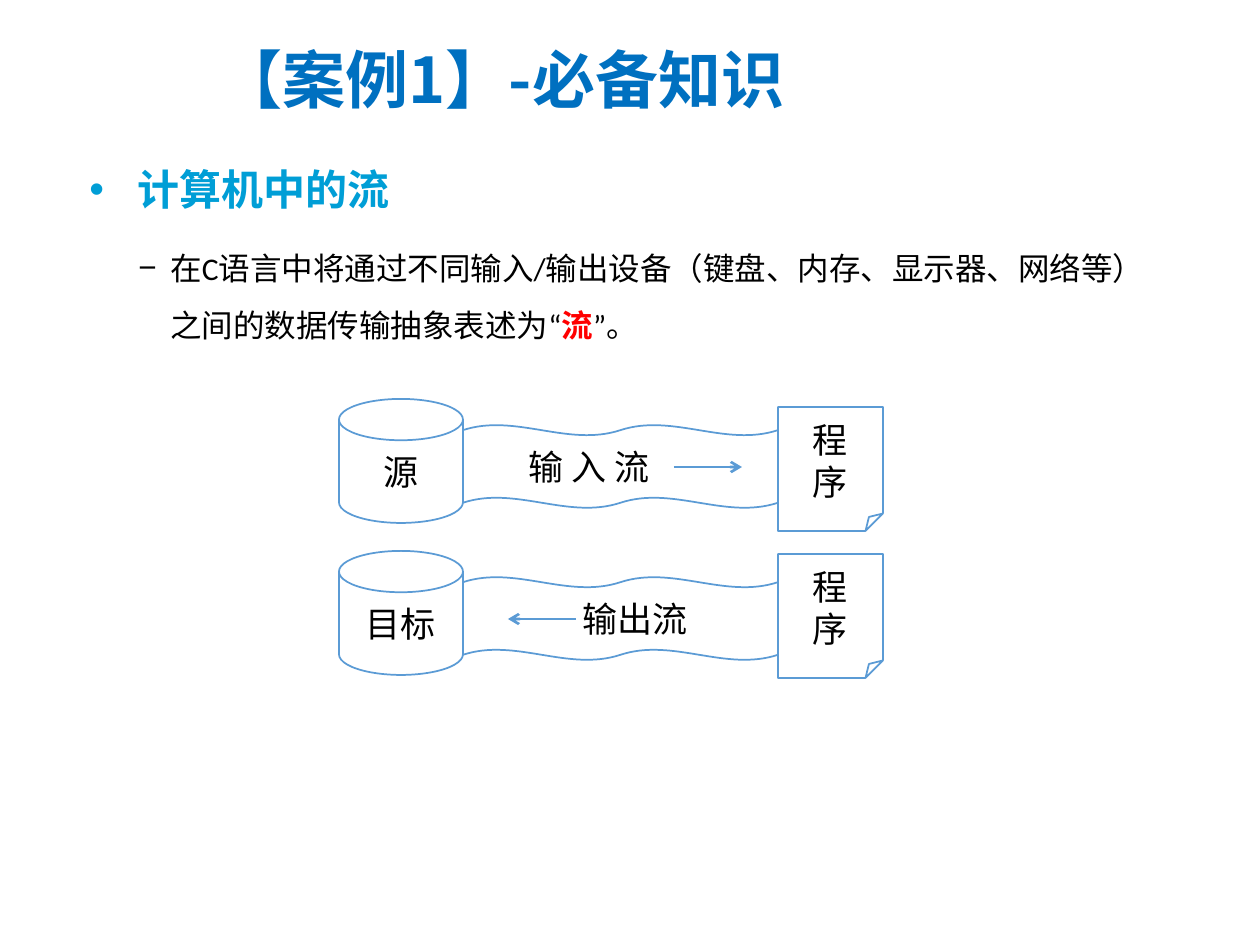
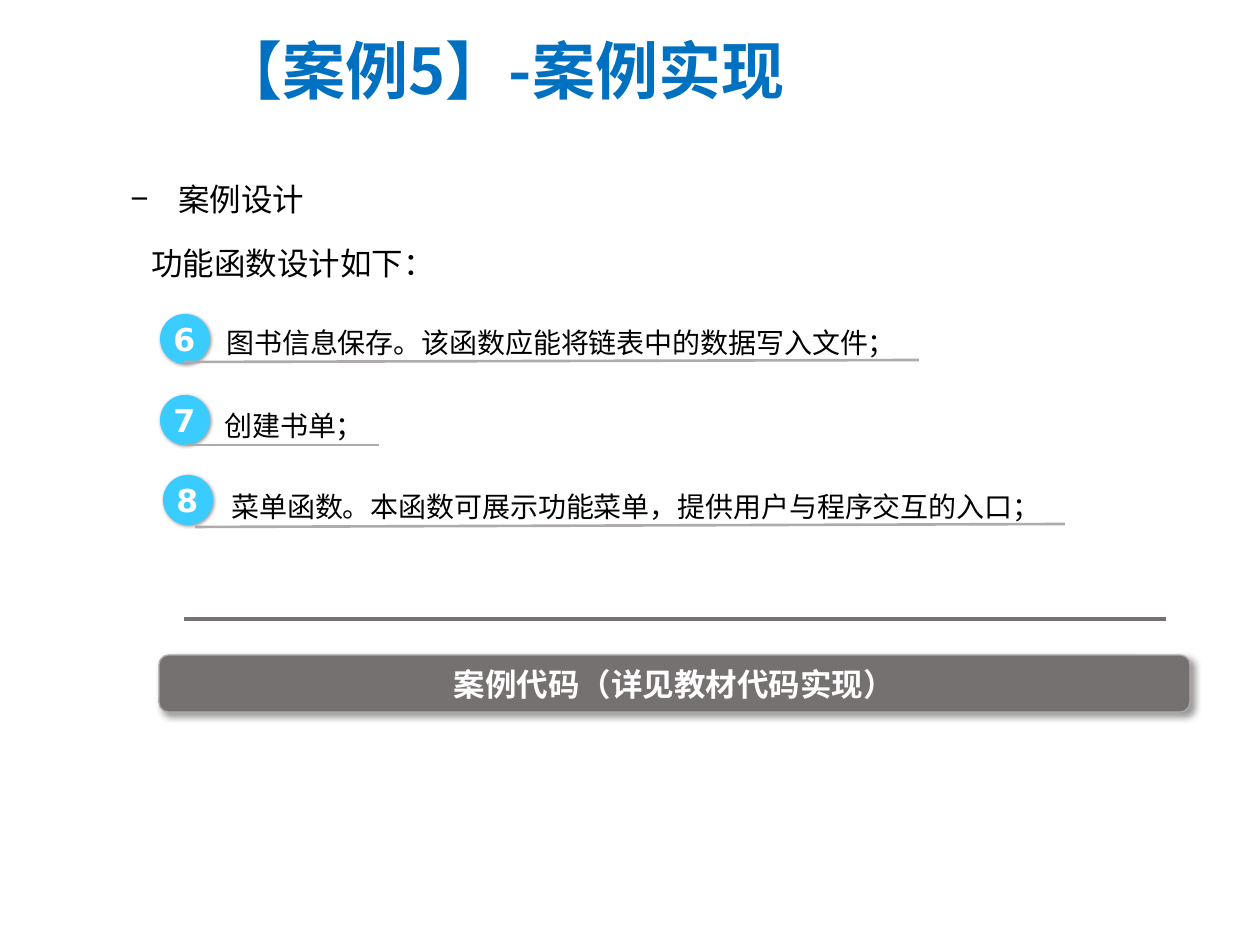
from lxml import etree
from pptx import Presentation
from pptx.dml.color import RGBColor
from pptx.enum.shapes import MSO_CONNECTOR, MSO_SHAPE
from pptx.enum.text import MSO_ANCHOR, MSO_AUTO_SIZE, PP_ALIGN
from pptx.oxml.ns import qn
from pptx.util import Emu, Pt

LEFT, CENTER = PP_ALIGN.LEFT, PP_ALIGN.CENTER
TOP, MIDDLE = MSO_ANCHOR.TOP, MSO_ANCHOR.MIDDLE
NO_FIT = MSO_AUTO_SIZE.NONE
STRAIGHT = MSO_CONNECTOR.STRAIGHT
DISK = MSO_SHAPE.FLOWCHART_MAGNETIC_DISK
WAVE = MSO_SHAPE.DOUBLE_WAVE
SHEET = MSO_SHAPE.FOLDED_CORNER
OVAL, ROUNDED = MSO_SHAPE.OVAL, MSO_SHAPE.ROUNDED_RECTANGLE

TITLE_BLUE, HEADING_BLUE = "0070C0", "009ED6"
FLOW_BLUE, BADGE_BLUE = "5B9BD5", "3BCCFF"
RULE_GRAY, BAR_GRAY = "AFABAB", "767171"
BLACK, WHITE, RED = "000000", "FFFFFF", "FF0000"
BODY_FONT, TITLE_FONT = "Calibri", "Noto Sans CJK SC"


def px(length):
    """Turn pixels at 126 to the inch into EMU."""
    return Emu(round(length * 914400 / 126))


def color(value):
    """Turn a hex string into a colour."""
    return RGBColor.from_string(value)


def add_element(parent, tag, **values):
    """Append one XML element with its attributes."""
    child = etree.SubElement(parent, qn(tag))
    for name, value in values.items():
        child.set(name, str(value))
    return child


def add_span(para, text, size=18, ink=BLACK, bold=False, latin=BODY_FONT, asian=BODY_FONT):
    """Add a formatted run to a paragraph."""
    span = para.add_run()
    span.text = text
    for name, value in {"size": Pt(size), "bold": bold, "name": latin}.items():
        setattr(span.font, name, value)
    span.font.color.rgb = color(ink)
    add_element(span.font._element, "a:ea", typeface=asian)


def set_indent(para, margin, hanging=0, bullet=None):
    """Set the margin, the hanging indent and the bullet of a paragraph."""
    props = para._p.get_or_add_pPr()
    props.set("marL", str(px(margin)))
    props.set("indent", str(-px(hanging)))
    if bullet:
        add_element(props, "a:buFont", typeface="Arial")
        add_element(props, "a:buChar", char=bullet)
    else:
        add_element(props, "a:buNone")


def format_frame(frame, anchor=TOP):
    """Make a text frame wrap and keep its size."""
    values = {"word_wrap": True, "auto_size": NO_FIT, "vertical_anchor": anchor}
    for name, value in values.items():
        setattr(frame, name, value)


def add_text(page, box, **values):
    """Add a text box and return its first paragraph."""
    frame = page.shapes.add_textbox(*map(px, box)).text_frame
    format_frame(frame)
    para = frame.paragraphs[0]
    for name, value in values.items():
        setattr(para, name, value)
    return para


def add_block(page, kind, box, fill=None, line=None, width=1, shadow=None):
    """Add a preset shape; shadow is its blur and distance in points."""
    shape = page.shapes.add_shape(kind, *map(px, box))
    shape.shadow.inherit = False
    if fill:
        shape.fill.solid()
        shape.fill.fore_color.rgb = color(fill)
    else:
        shape.fill.background()
    if line:
        shape.line.color.rgb = color(line)
        shape.line.width = Pt(width)
    else:
        shape.line.fill.background()
    if shadow:
        blur, distance = map(Pt, shadow)
        effects = shape._element.spPr.find(qn("a:effectLst"))
        outer = add_element(effects, "a:outerShdw", blurRad=blur, dist=distance,
                            dir=45 * 60000, algn="tl", rotWithShape=0)
        tint = add_element(outer, "a:srgbClr", val=BLACK)
        add_element(tint, "a:alpha", val=40000)
    format_frame(shape.text_frame, MIDDLE)
    return shape


def fill_block(shape, lines, margin=0, align=CENTER, **style):
    """Write one paragraph for each line into a shape."""
    frame = shape.text_frame
    for index, text in enumerate(lines):
        para = frame.add_paragraph() if index else frame.paragraphs[0]
        para.alignment = align
        set_indent(para, margin)
        add_span(para, text, **style)


def add_line(page, ends, ink, width, arrow=False):
    """Draw a straight line, with an arrowhead at its end if asked."""
    line = page.shapes.add_connector(STRAIGHT, *map(px, ends))
    line.line.color.rgb = color(ink)
    line.line.width = Pt(width)
    if arrow:
        add_element(line.line._get_or_add_ln(), "a:tailEnd", type="arrow")
    add_element(line._element.spPr, "a:effectLst")


def add_page(deck, text, box):
    """Add a title-only slide with its title."""
    page = deck.slides.add_slide(deck.slide_layouts[5])
    title = page.shapes.title
    for name, value in zip(("left", "top", "width", "height"), box):
        setattr(title, name, px(value))
    format_frame(title.text_frame, MIDDLE)
    para = title.text_frame.paragraphs[0]
    para.alignment = LEFT
    set_indent(para, 78, 78)
    add_span(para, text, 36, TITLE_BLUE, True, TITLE_FONT)
    return page


def add_flow(page, box, store, flow, margin, align, arrow, sheet_top):
    """Draw a store, a stream and a program sheet in one row."""
    left, top, width, height = box
    sheet_width = 105
    wave_left = left + height
    wave_width = width - height - sheet_width
    style = {"line": FLOW_BLUE}
    disk = add_block(page, DISK, (left, top, height, height), **style)
    fill_block(disk, [store], size=20)
    wave = add_block(page, WAVE, (wave_left, top + 26, wave_width, 83), **style)
    fill_block(wave, [flow], margin, align, size=20)
    sheet = add_block(page, SHEET, (left + width - sheet_width, top + sheet_top,
                                    sheet_width, height), **style)
    fill_block(sheet, "程序", size=20)
    start, end = arrow
    middle = top + 68
    add_line(page, (left + start, middle, left + end, middle), FLOW_BLUE, 1.5, True)


def build_stream_page(deck):
    """Build the slide that explains streams."""
    page = add_page(deck, "【案例1】-必备知识", (207, 25, 709, 106))
    heading = add_text(page, (77, 132, 329, 90), line_spacing=1.5)
    set_indent(heading, 48, 48, "•")
    add_span(heading, "计算机中的流", 24, HEADING_BLUE, True)
    body = add_text(page, (126, 224, 1041, 127), line_spacing=1.5)
    set_indent(body, 32, 32, "−")
    add_span(body, "在C语言中将通过不同输入/输出设备（键盘、内存、显示器、网络等）之间的数据传输抽象表述为“")
    add_span(body, "流", ink=RED, bold=True)
    add_span(body, "”。")
    add_flow(page, (339, 399, 544, 124), "源", "输 入 流", 53, LEFT, (335, 403), 8)
    add_flow(page, (339, 551, 544, 124), "目标", "输出流", 29, CENTER, (237, 169), 3)


def add_item(page, place, number, text, text_at, rule):
    """Draw a numbered badge, its text and the rule under it."""
    left, top = place
    text_left, text_top, text_width = text_at
    badge = add_block(page, OVAL, (left, top, 50, 50), BADGE_BLUE, shadow=(2, 1))
    badge.rotation = 9.6
    digit = add_text(page, (left + 1, top, 48, 50))
    add_span(digit, number, 18, WHITE, True, "DejaVu Sans")
    add_line(page, rule, RULE_GRAY, 1.5)
    para = add_text(page, (text_left, text_top, text_width, 57),
                    line_spacing=1.3, space_after=Pt(3))
    add_span(para, text, 16)


def build_design_page(deck):
    """Build the slide that lists the functions of the case."""
    page = add_page(deck, "【案例5】-案例实现", (207, 16, 641, 106))
    intro = add_text(page, (118, 155, 1072, 135), line_spacing=1.5)
    set_indent(intro, 48, 48, "−")
    add_span(intro, "案例设计", latin="Arial")
    follow = intro._parent.add_paragraph()
    follow.line_spacing, follow.space_before = 1.5, Pt(4)
    set_indent(follow, 21)
    add_span(follow, "功能函数设计如下：", latin="Arial")
    items = [
        ((160, 314), "6", "图书信息保存。该函数应能将链表中的数据写入文件；",
         (214, 309, 704), (184, 362, 919, 360)),
        ((160, 395), "7", "创建书单；", (212, 392, 166), (186, 445, 379, 445)),
        ((163, 475), "8", "菜单函数。本函数可展示功能菜单，提供用户与程序交互的入口；",
         (219, 473, 845), (195, 527, 1065, 524)),
    ]
    for item in items:
        add_item(page, *item)
    bar = add_block(page, ROUNDED, (159, 655, 1031, 57), BAR_GRAY, RULE_GRAY, 0.75, (4, 3))
    fill_block(bar, ["案例代码（详见教材代码实现）"], ink=WHITE, bold=True)
    add_line(page, (184, 619, 1166, 619), BAR_GRAY, 2.25)


def main():
    """Build and save the deck."""
    deck = Presentation()
    deck.slide_width, deck.slide_height = px(1260), px(945)
    build_stream_page(deck)
    build_design_page(deck)
    deck.save("out.pptx")


if __name__ == "__main__":
    main()
